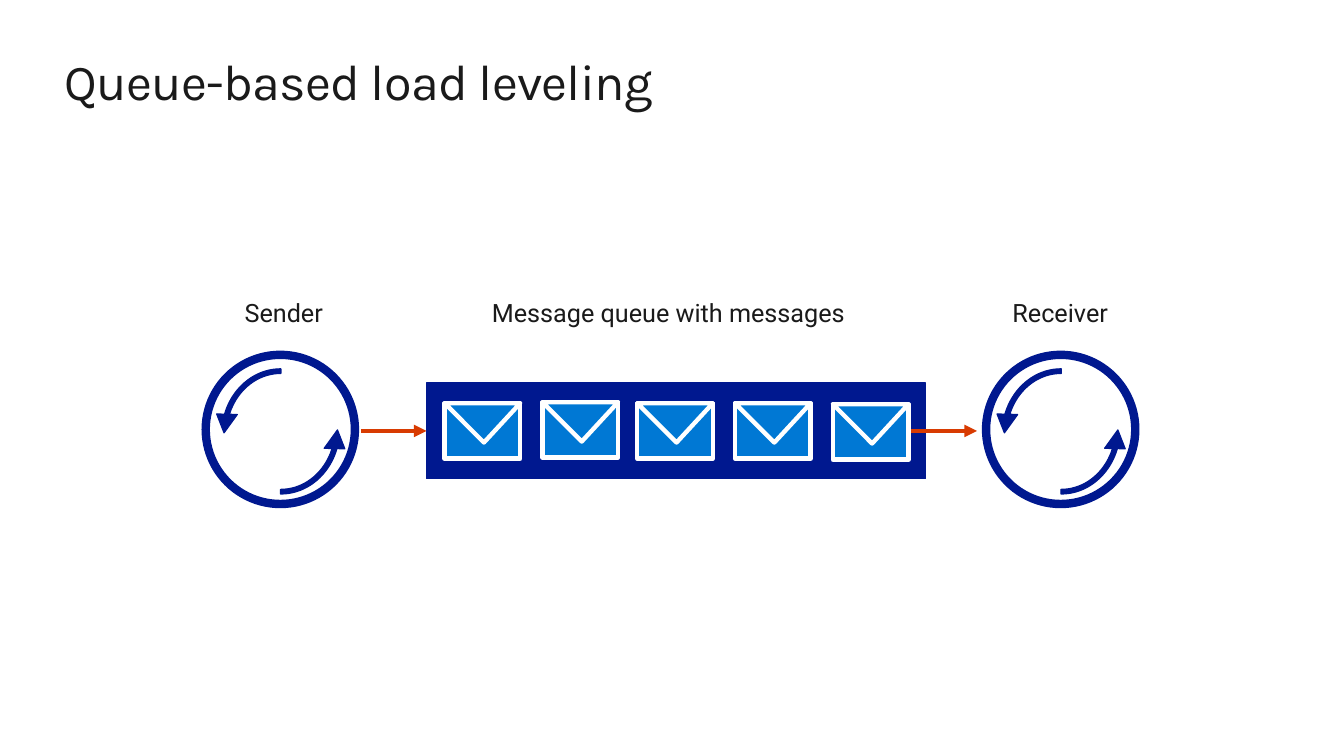
from pptx import Presentation
from pptx.dml.color import RGBColor
from pptx.enum.shapes import MSO_CONNECTOR, MSO_SHAPE
from pptx.enum.text import PP_ALIGN
from pptx.oxml.ns import qn
from pptx.util import Inches, Pt
from lxml import etree

CENTER, LEFT = PP_ALIGN.CENTER, PP_ALIGN.LEFT
STRAIGHT = MSO_CONNECTOR.STRAIGHT
OVAL, SPIN, BAR = MSO_SHAPE.OVAL, MSO_SHAPE.CIRCULAR_ARROW, MSO_SHAPE.ROUNDED_RECTANGLE
NAVY, BLUE, WHITE, RED, INK = "00188F", "0078D4", "FFFFFF", "D83B01", "1A1A1A"

deck = Presentation()
deck.slide_width, deck.slide_height = Inches(13.33), Inches(7.5)
slide = deck.slides.add_slide(deck.slide_layouts[6])
shapes = slide.shapes


def color(code):
    return RGBColor.from_string(code)


def paint(shape, fill, line, width):
    shape.shadow.inherit = False
    shape.fill.solid()
    shape.fill.fore_color.rgb = color(fill)
    shape.line.color.rgb = color(line)
    shape.line.width = Pt(width)


# Title and labels: text, box, inset, font, size, alignment
texts = [
    ("Queue-based load leveling", (0.64, 0.5, 12.05, 0.61), 0, "Karla", 36, LEFT),
    ("Message queue with messages", (4.66, 2.85, 3.94, 0.5), 0.1, "Roboto", 18, CENTER),
    ("Receiver", (9.58, 2.85, 1.87, 0.5), 0.1, "Roboto", 18, CENTER),
    ("Sender", (1.88, 2.85, 1.87, 0.5), 0.1, "Roboto", 18, CENTER),
]
for text, place, inset, face, size, align in texts:
    box = shapes.add_textbox(*map(Inches, place))
    frame = box.text_frame
    frame.word_wrap = True
    frame.margin_left = frame.margin_right = Inches(inset)
    frame.margin_top = frame.margin_bottom = Inches(inset)
    para = frame.paragraphs[0]
    para.text = text
    para.alignment = align
    para.font.name, para.font.size = face, Pt(size)
    para.font.color.rgb = color(INK)
    if face == "Karla":
        para.runs[0].font._element.set("spc", "-50")

# Queue bar
queue = shapes.add_shape(BAR, Inches(4.23), Inches(3.8), Inches(4.95), Inches(0.95))
queue.adjustments[0] = 0
paint(queue, NAVY, NAVY, 0.85)

# Arrows into and out of the queue
flows = []
for start, end in [(3.58, 4.23), (9.04, 9.69)]:
    flow = shapes.add_connector(STRAIGHT, Inches(start), Inches(4.275), Inches(end), Inches(4.275))
    flow.line.color.rgb = color(RED)
    flow.line.width = Pt(3)
    etree.SubElement(flow.line._get_or_add_ln(), qn("a:tailEnd"), type="triangle")
    etree.SubElement(flow._element.spPr, qn("a:effectLst"))
    flows.append(flow)
flows[0].end_connect(queue, 1)

# Sender and receiver: ring, two turning arrows, white centre
for left in (2.04, 9.78):
    ring = shapes.add_shape(OVAL, Inches(left), Inches(3.52), Inches(1.48), Inches(1.48))
    paint(ring, WHITE, NAVY, 6)
    for top, turn in [(3.52, 180), (3.58, 0)]:
        spin = shapes.add_shape(SPIN, Inches(left + 0.08), Inches(top), Inches(1.33), Inches(1.46))
        for i, value in enumerate((0.035, 11.423, 203.668, 161.897, 0.077)):
            spin.adjustments[i] = value
        spin.rotation = turn
        spin._element.spPr.xfrm.set("flipH", "1")
        paint(spin, NAVY, NAVY, 0.85)
    core = shapes.add_shape(OVAL, Inches(left + 0.35), Inches(3.89), Inches(0.78), Inches(0.78))
    paint(core, WHITE, WHITE, 0.75)

# Messages: each envelope is a body and a flap
body = [(0, 0), (0.75, 0), (0.75, 0.55), (0, 0.55)]
flap = [(0.75, 0), (0.39, 0.39), (0, 0)]
for left, top in [(4.41, 4), (5.38, 3.99), (6.32, 4), (7.29, 4), (8.26, 4.01)]:
    for part in (body, flap):
        points = [(Inches(left + x), Inches(top + y)) for x, y in part]
        path = shapes.build_freeform(*points[0])
        path.add_line_segments(points[1:], close=True)
        paint(path.convert_to_shape(), BLUE, WHITE, 3.13)

deck.save("out.pptx")
